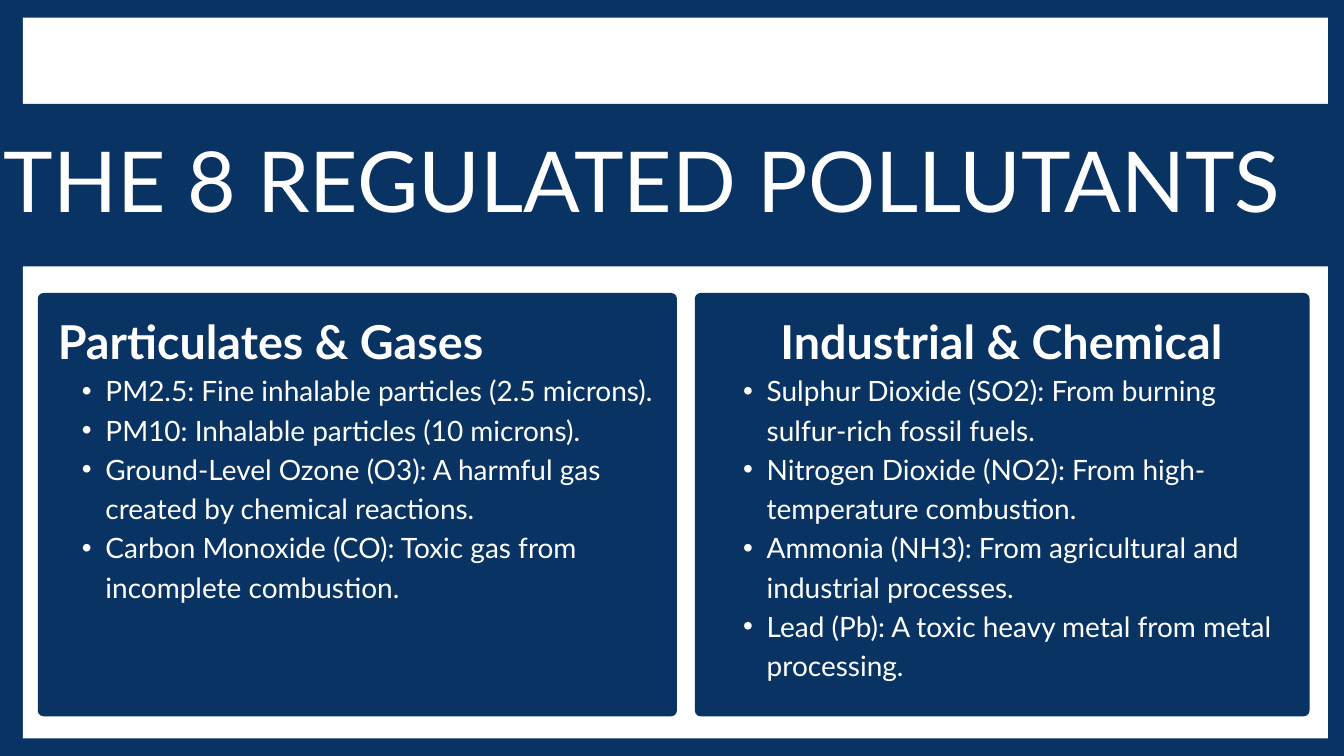
from dataclasses import dataclass

from lxml.etree import SubElement
from pptx import Presentation
from pptx.dml.color import RGBColor
from pptx.enum.shapes import MSO_SHAPE
from pptx.enum.text import MSO_AUTO_SIZE, PP_ALIGN
from pptx.oxml.ns import qn
from pptx.util import Pt


@dataclass(frozen=True)
class Theme:
    """Colours, font and type sizes of the slide."""
    navy: RGBColor = RGBColor(0x09, 0x33, 0x62)
    white: RGBColor = RGBColor(0xFF, 0xFF, 0xFF)
    font: str = "Lato"
    title: int = 90
    title_line: float = 90.9
    heading: int = 50
    heading_line: int = 70
    body: int = 30
    body_line: int = 42


THEME = Theme()
PANEL_TOP, PANEL_HEIGHT, PANEL_RADIUS = 313.9, 453.6, 6.2
TEXT_TOP = 324.7
BULLET_MARGIN, BULLET_HANG = 51.1, 25.2

PARTICULATES = [
    "PM2.5: Fine inhalable particles (2.5 microns).",
    "PM10: Inhalable particles (10 microns).",
    "Ground-Level Ozone (O3): A harmful gas created by chemical reactions.",
    "Carbon Monoxide (CO): Toxic gas from incomplete combustion.",
]
CHEMICALS = [
    "Sulphur Dioxide (SO2): From burning sulfur-rich fossil fuels.",
    "Nitrogen Dioxide (NO2): From high-temperature combustion.",
    "Ammonia (NH3): From agricultural and industrial processes.",
    "Lead (Pb): A toxic heavy metal from metal processing.",
]


def add_block(slide, box, color, preset=MSO_SHAPE.RECTANGLE):
    """Add a filled, unlined shape."""
    block = slide.shapes.add_shape(preset, *map(Pt, box))
    block.shadow.inherit = False
    block.fill.solid()
    block.fill.fore_color.rgb = color
    block.line.fill.background()
    return block


def add_text_frame(slide, box):
    """Add a wrapping text box without margins and return its frame."""
    frame = slide.shapes.add_textbox(*map(Pt, box)).text_frame
    frame.word_wrap = True
    frame.auto_size = MSO_AUTO_SIZE.SHAPE_TO_FIT_TEXT
    frame.margin_left = frame.margin_right = Pt(0)
    frame.margin_top = frame.margin_bottom = Pt(0)
    return frame


def write_line(paragraph, text, size, leading, align, bold=False):
    """Fill a paragraph and format its run."""
    paragraph.text = text
    paragraph.alignment = align
    paragraph.line_spacing = Pt(leading)
    font = paragraph.runs[0].font
    font.name = THEME.font
    font.size = Pt(size)
    font.bold = bold
    font.color.rgb = THEME.white


def add_bullet(paragraph):
    """Give a paragraph a hanging bullet."""
    paragraph.level = 1
    properties = paragraph._p.get_or_add_pPr()
    properties.set("marL", str(Pt(BULLET_MARGIN)))
    properties.set("indent", str(-Pt(BULLET_HANG)))
    SubElement(properties, qn("a:buFont"), typeface="Arial")
    SubElement(properties, qn("a:buChar"), char="•")


def add_panel(slide, left, width):
    """Add a rounded navy panel."""
    box = (left, PANEL_TOP, width, PANEL_HEIGHT)
    panel = add_block(slide, box, THEME.navy, MSO_SHAPE.ROUNDED_RECTANGLE)
    panel.adjustments[0] = PANEL_RADIUS / PANEL_HEIGHT


def add_pollutants(slide, left, width, height, heading, align, pollutants):
    """Add a heading with its bulleted pollutants."""
    frame = add_text_frame(slide, (left, TEXT_TOP, width, height))
    write_line(frame.paragraphs[0], heading, THEME.heading,
               THEME.heading_line, align, bold=True)
    for pollutant in pollutants:
        paragraph = frame.add_paragraph()
        add_bullet(paragraph)
        write_line(paragraph, pollutant, THEME.body, THEME.body_line,
                   PP_ALIGN.LEFT)


def add_title(slide, text):
    """Add the slide title over its band."""
    add_block(slide, (-36, 111.4, 1512, 174), THEME.navy)
    frame = add_text_frame(slide, (0, 154.8, 1376.6, 187.2))
    write_line(frame.paragraphs[0], text, THEME.title, THEME.title_line,
               PP_ALIGN.CENTER)


def main():
    """Build and save the slide."""
    deck = Presentation()
    deck.slide_width, deck.slide_height = Pt(1440), Pt(810)
    slide = deck.slides.add_slide(deck.slide_layouts[6])
    slide.background.fill.solid()
    slide.background.fill.fore_color.rgb = THEME.navy

    add_block(slide, (24.5, 18.9, 1398.2, 772.3), THEME.white)
    add_panel(slide, 744.5, 658.6)
    add_panel(slide, 40.5, 684.8)
    add_title(slide, "THE 8 REGULATED POLLUTANTS")
    add_pollutants(slide, 61.9, 641.5, 363.6, "Particulates & Gases",
                   PP_ALIGN.JUSTIFY, PARTICULATES)
    add_pollutants(slide, 770.4, 605.5, 405.4, "Industrial & Chemical",
                   PP_ALIGN.CENTER, CHEMICALS)
    deck.save("out.pptx")


if __name__ == "__main__":
    main()
